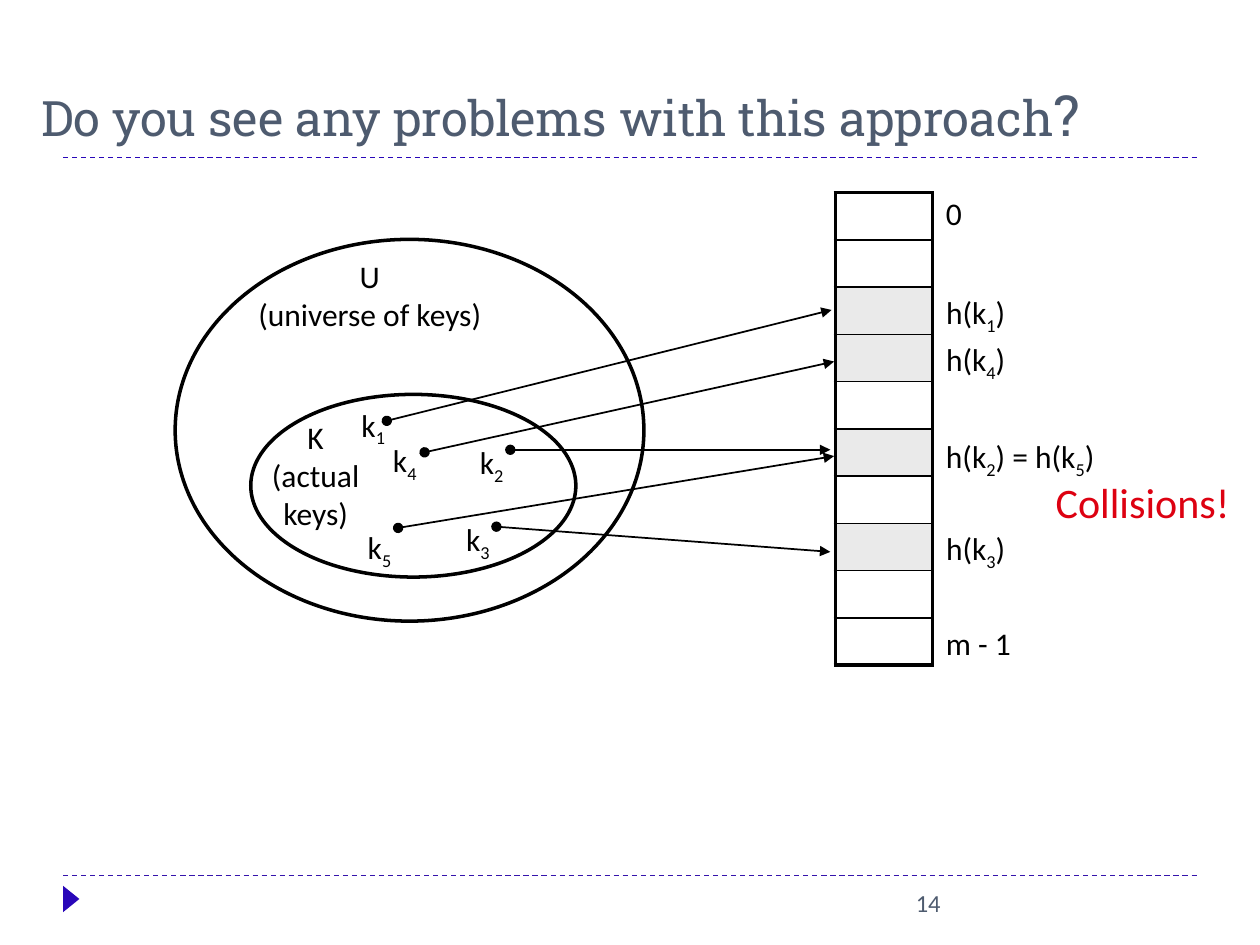
from lxml.etree import SubElement
from pptx import Presentation
from pptx.dml.color import RGBColor
from pptx.enum.dml import MSO_LINE
from pptx.enum.shapes import MSO_CONNECTOR, MSO_SHAPE
from pptx.enum.text import MSO_ANCHOR, MSO_AUTO_SIZE, PP_ALIGN
from pptx.oxml.ns import qn
from pptx.util import Inches, Pt

THEME = {
    "body_font": "Calibri", "title_font": "Roboto Slab",
    "ink": "000000", "heading": "4E5B6F", "alert": "DD0111",
    "accent": "2907B9", "footer_rule": "3514AC", "used_slot": "EAEAEA",
    "title_size": 27.9, "mark_size": 32.4, "body_size": 18,
    "alert_size": 24, "number_size": 14,
}
TITLE = [("Do you see any problems with this approach", THEME["title_size"]),
         ("?", THEME["mark_size"])]
PAGE_NUMBER = "14"
RULES = [(6.95, THEME["footer_rule"]), (1.25, THEME["accent"])]
SETS = [(1.39, 1.9, 3.72, 3.03), (1.99, 3.13, 2.58, 1.45)]
SET_LABELS = [
    (["U", "(universe of keys)"], (1.85, 1.99, 2.17, 0.7)),
    (["K", "(actual", "keys)"], (2.03, 3.27, 0.95, 1)),
]
SLOT_COUNT = 10
USED_SLOTS = {2, 3, 5, 7}
TABLE_BOX = (6.63, 1.53, 0.77, 3.75)
SLOT_LABEL_LEFT = 7.41
SLOT_LABELS = [
    ("0", 1.49, 0.34), ("h(k_1)", 2.28, 0.72), ("h(k_4)", 2.65, 0.72),
    ("h(k_2) = h(k_5)", 3.42, 1.6), ("h(k_3)", 4.15, 0.72), ("m - 1", 4.9, 0.77),
]
KEYS = [
    ("k_1", (2.77, 3.17), (3.07, 3.34), (6.6, 2.46)),
    ("k_4", (3.02, 3.45), (3.37, 3.59), (6.62, 2.87)),
    ("k_2", (3.71, 3.47), (4.05, 3.57), (6.59, 3.57)),
    ("k_5", (2.82, 4.14), (3.16, 4.19), (6.62, 3.62)),
    ("k_3", (3.6, 4.08), (3.94, 4.18), (6.59, 4.38)),
]
LABEL_HEIGHT = 0.4


def color(value):
    return RGBColor.from_string(value)


def add_run(paragraph, text, size, ink, font, subscript=False):
    run = paragraph.add_run()
    run.text = text
    run.font.size = Pt(size)
    run.font.name = font
    run.font.color.rgb = color(ink)
    if subscript:
        run._r.get_or_add_rPr().set("baseline", "-25000")


def add_box(slide, box, wrap):
    frame = slide.shapes.add_textbox(*map(Inches, box)).text_frame
    frame.word_wrap = wrap
    frame.auto_size = MSO_AUTO_SIZE.NONE if wrap else MSO_AUTO_SIZE.SHAPE_TO_FIT_TEXT
    return frame


def add_label(slide, lines, box, size=THEME["body_size"], ink=THEME["ink"],
              align=PP_ALIGN.LEFT, wrap=False):
    frame = add_box(slide, box, wrap)
    for index, line in enumerate(lines):
        paragraph = frame.add_paragraph() if index else frame.paragraphs[0]
        paragraph.alignment = align
        first, *rest = line.split("_")
        add_run(paragraph, first, size, ink, THEME["body_font"])
        for part in rest:
            add_run(paragraph, part[0], size, ink, THEME["body_font"], True)
            if part[1:]:
                add_run(paragraph, part[1:], size, ink, THEME["body_font"])


def add_line(slide, start, end, ink, width):
    line = slide.shapes.add_connector(MSO_CONNECTOR.STRAIGHT, *map(Inches, start + end))
    line.line.color.rgb = color(ink)
    line.line.width = Pt(width)
    SubElement(line._element.spPr, qn("a:effectLst"))
    return line


def add_arrow(slide, start, end):
    outline = add_line(slide, start, end, THEME["ink"], 1).line._get_or_add_ln()
    SubElement(outline, qn("a:headEnd"), type="oval")
    SubElement(outline, qn("a:tailEnd"), type="triangle")


def add_borders(cell, widths):
    properties = cell._tc.get_or_add_tcPr()
    for side, width in widths.items():
        border = SubElement(properties, qn("a:ln" + side), w=str(Pt(width)))
        fill = SubElement(border, qn("a:solidFill"))
        SubElement(fill, qn("a:srgbClr"), val=THEME["ink"])


def add_hash_table(slide):
    table = slide.shapes.add_table(SLOT_COUNT, 1, *map(Inches, TABLE_BOX)).table
    table.first_row = table.horz_banding = False
    for index in range(SLOT_COUNT):
        table.rows[index].height = Inches(TABLE_BOX[3] / SLOT_COUNT)
        cell = table.cell(index, 0)
        cell.margin_top = cell.margin_bottom = 0
        add_borders(cell, {
            "L": 2.25, "R": 2.25,
            "T": 2.25 if index == 0 else 1,
            "B": 2.25 if index == SLOT_COUNT - 1 else 1,
        })
        if index in USED_SLOTS:
            cell.fill.solid()
            cell.fill.fore_color.rgb = color(THEME["used_slot"])
        else:
            cell.fill.background()


def add_frame(slide):
    for top, ink in RULES:
        add_line(slide, (0.5, top), (9.5, top), ink, 0.75).line.dash_style = MSO_LINE.DASH
    marker = slide.shapes.add_shape(
        MSO_SHAPE.ISOSCELES_TRIANGLE, *map(Inches, (0.46, 7.07, 0.21, 0.13)))
    marker.rotation = 90
    marker.shadow.inherit = False
    marker.fill.solid()
    marker.fill.fore_color.rgb = color(THEME["accent"])
    marker.line.fill.background()
    add_label(slide, [PAGE_NUMBER], (7.17, 7, 2.33, 0.35),
              THEME["number_size"], THEME["heading"], wrap=True)
    frame = add_box(slide, (0.23, 0.23, 9, 0.99), True)
    frame.vertical_anchor = MSO_ANCHOR.BOTTOM
    for text, size in TITLE:
        add_run(frame.paragraphs[0], text, size, THEME["heading"], THEME["title_font"])


def main():
    presentation = Presentation()
    presentation.slide_width, presentation.slide_height = Inches(10), Inches(7.5)
    slide = presentation.slides.add_slide(presentation.slide_layouts[6])
    add_frame(slide)
    for box in SETS:
        ellipse = slide.shapes.add_shape(MSO_SHAPE.OVAL, *map(Inches, box))
        ellipse.shadow.inherit = False
        ellipse.fill.background()
        ellipse.line.color.rgb = color(THEME["ink"])
        ellipse.line.width = Pt(2)
    for lines, box in SET_LABELS:
        add_label(slide, lines, box, align=PP_ALIGN.CENTER)
    add_hash_table(slide)
    for text, top, width in SLOT_LABELS:
        add_label(slide, [text], (SLOT_LABEL_LEFT, top, width, LABEL_HEIGHT))
    for _, _, start, end in KEYS:
        add_arrow(slide, start, end)
    for text, position, _, _ in KEYS:
        add_label(slide, [text], position + (0.42, LABEL_HEIGHT))
    add_label(slide, ["Collisions!"], (8.28, 3.73, 1.72, 0.5),
              THEME["alert_size"], THEME["alert"])
    presentation.save("out.pptx")


if __name__ == "__main__":
    main()
